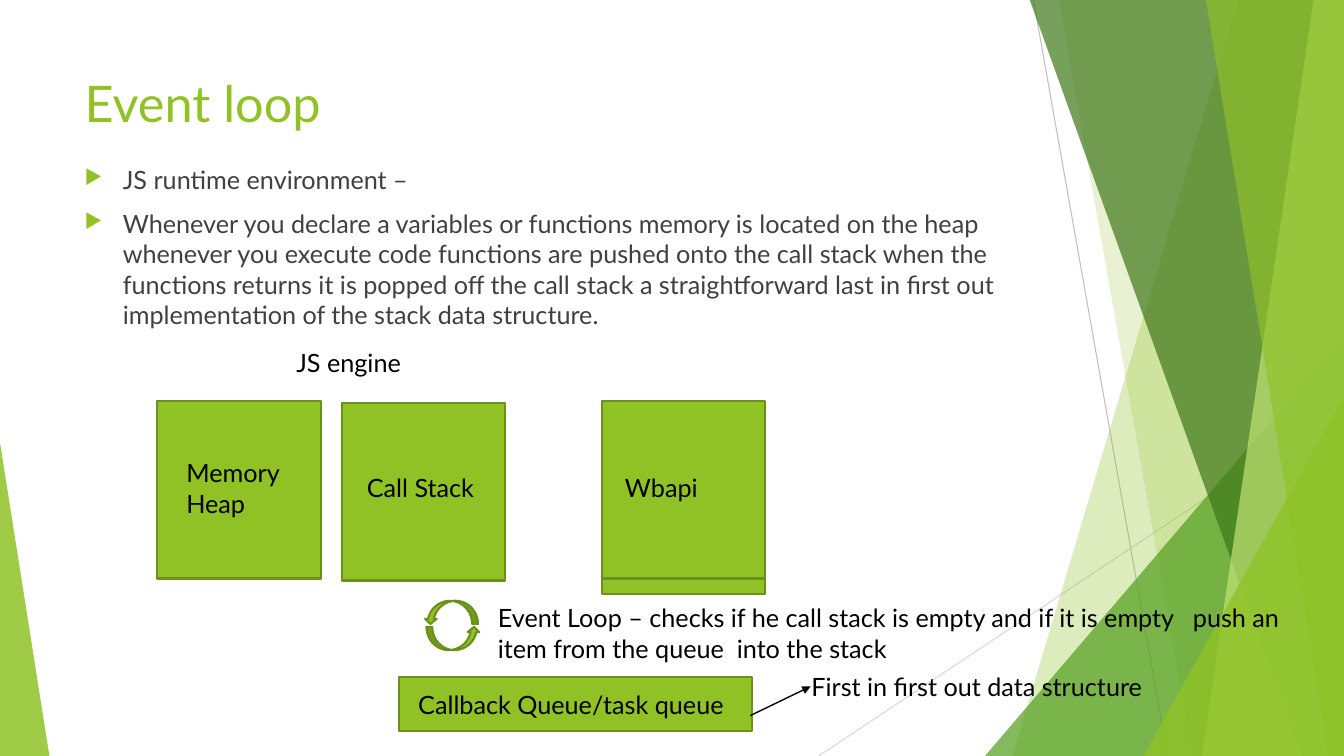
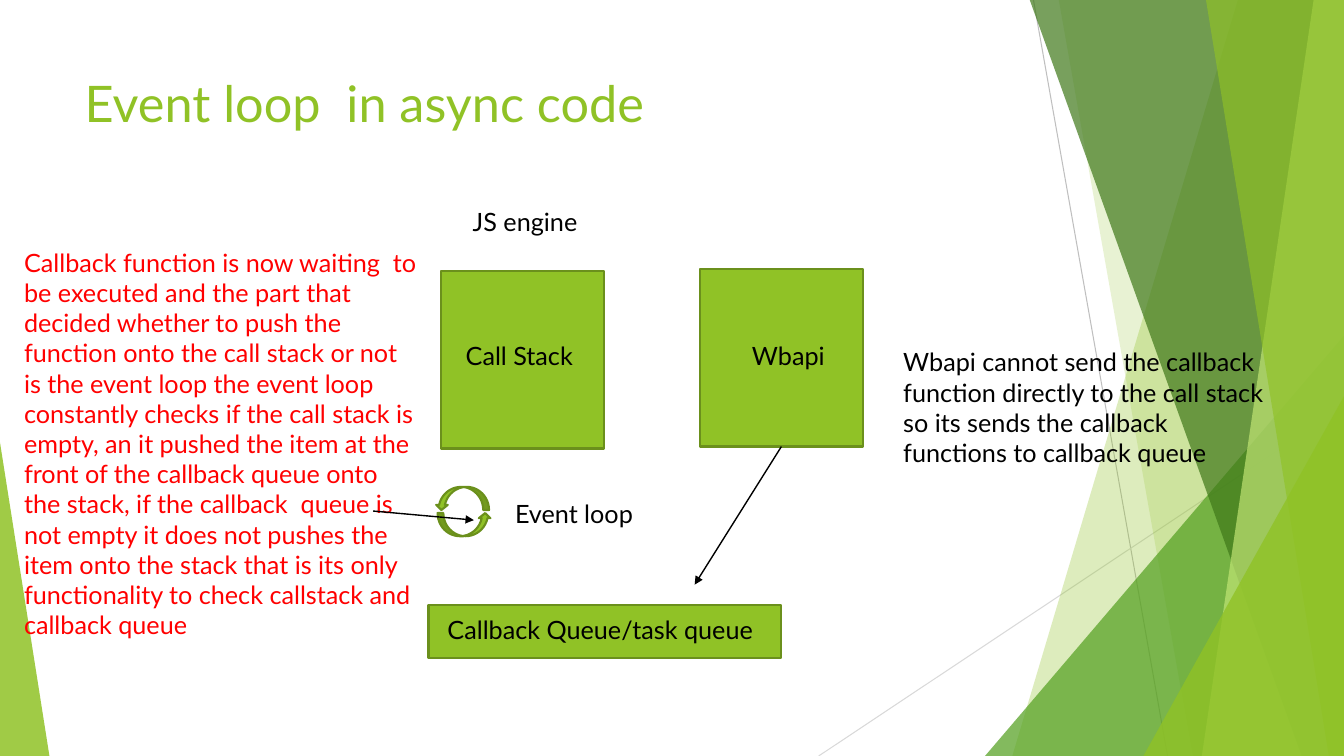
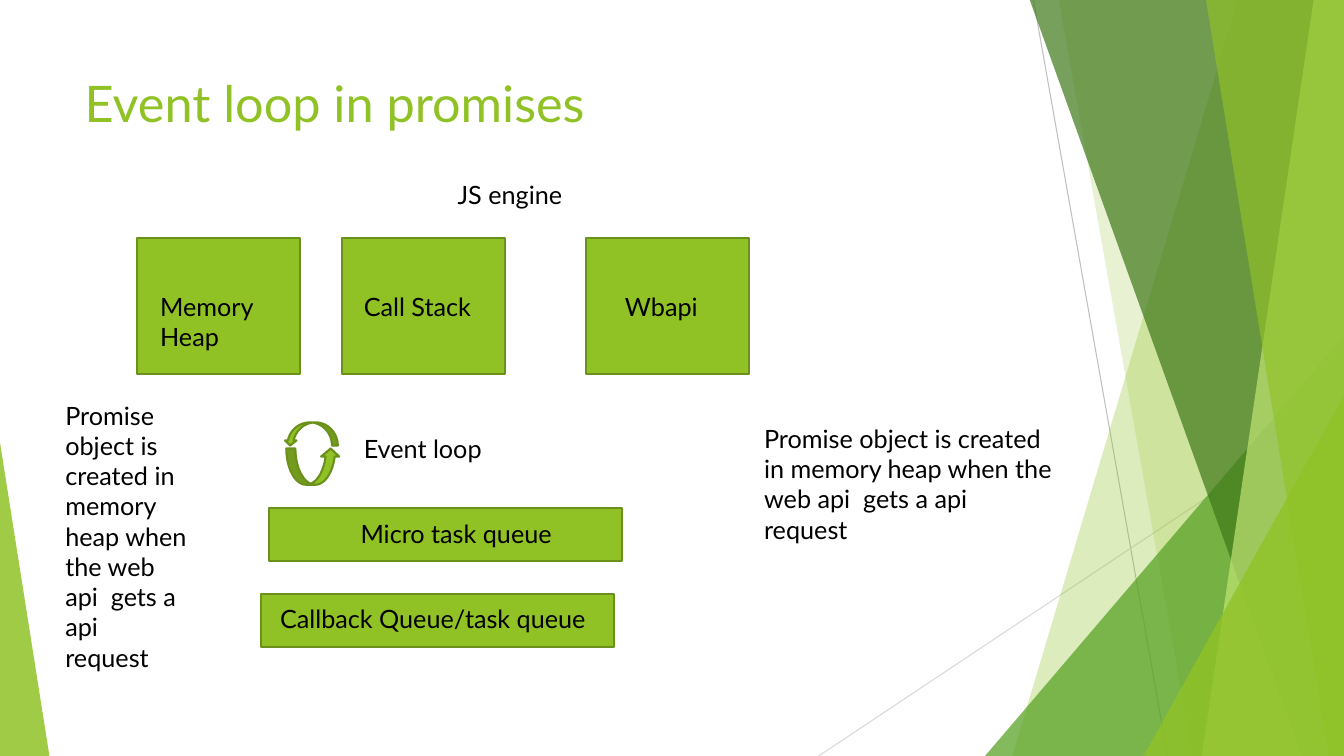
from dataclasses import dataclass

from lxml import etree
from pptx import Presentation
from pptx.dml.color import RGBColor
from pptx.enum.shapes import MSO_CONNECTOR, MSO_SHAPE
from pptx.enum.text import MSO_ANCHOR, MSO_AUTO_SIZE, PP_ALIGN
from pptx.oxml.ns import qn
from pptx.util import Inches, Pt

RECT = MSO_SHAPE.RECTANGLE
TRIANGLE = MSO_SHAPE.ISOSCELES_TRIANGLE
CURVED = MSO_SHAPE.CURVED_UP_ARROW
STRAIGHT = MSO_CONNECTOR.STRAIGHT
TOP = MSO_ANCHOR.TOP
LEFT, CENTER = PP_ALIGN.LEFT, PP_ALIGN.CENTER
FIT, FIXED = MSO_AUTO_SIZE.SHAPE_TO_FIT_TEXT, MSO_AUTO_SIZE.NONE
TITLE_ONLY = 5
BOTTOM_SIDE = 2


@dataclass(frozen=True)
class Theme:
    font: str = "Lato"
    title_size: int = 36
    text_size: int = 18
    lime: str = "90C226"
    edge: str = "6B901C"
    green: str = "54A021"
    forest: str = "3F7819"
    pale: str = "C0E474"
    gray: str = "BFBFBF"
    silver: str = "D9D9D9"
    black: str = "000000"
    body: str = "404040"
    red: str = "FF0000"


THEME = Theme()
WIDTH, HEIGHT = 13.33, 7.5
SIDE = 1.62
QUEUE = (3.5, 0.53)
LABEL, QUEUE_LABEL = 1.38, 3.53


def rgb(code):
    return RGBColor.from_string(code)


class Deck:
    def __init__(self):
        self.prs = Presentation()
        self.prs.slide_width = Inches(WIDTH)
        self.prs.slide_height = Inches(HEIGHT)
        self.layout = self.prs.slide_layouts[TITLE_ONLY]
        self.slide = None

    def start(self, title):
        """Add a slide with its title; the first one also sets up the backdrop."""
        first = self.slide is None
        self.slide = self.prs.slides.add_slide(self.layout)
        if first:
            self.backdrop()
        head = self.slide.shapes.title
        head.left, head.top = Inches(0.74), Inches(0.67)
        head.width, head.height = Inches(9.4), Inches(1.44)
        self.style(head.text_frame, [title], THEME.lime, THEME.title_size)

    def style(self, frame, lines, color, size=THEME.text_size, align=LEFT):
        """Fill the frame with one paragraph a line and format it."""
        frame.text = "\n".join(lines)
        frame.word_wrap = True
        frame.auto_size = FIXED
        frame.vertical_anchor = TOP
        for para in frame.paragraphs:
            para.alignment = align
            for run in para.runs:
                run.font.name = THEME.font
                run.font.size = Pt(size)
                run.font.color.rgb = rgb(color)

    def text(self, x, y, w, h, words, color=THEME.black, align=LEFT):
        box = self.slide.shapes.add_textbox(Inches(x), Inches(y), Inches(w), Inches(h))
        self.style(box.text_frame, [words], color, align=align)
        box.text_frame.auto_size = FIT

    def bullets(self, x, y, w, h, lines):
        box = self.slide.shapes.add_textbox(Inches(x), Inches(y), Inches(w), Inches(h))
        self.style(box.text_frame, lines, THEME.body)
        for para in box.text_frame.paragraphs:
            para.space_before = Pt(10)
            props = para._p.get_or_add_pPr()
            props.set("marL", str(Inches(0.38)))
            props.set("indent", str(Inches(-0.38)))
            tint = etree.SubElement(props, qn("a:buClr"))
            etree.SubElement(tint, qn("a:srgbClr"), val=THEME.lime)
            etree.SubElement(props, qn("a:buSzPct"), val="80000")
            etree.SubElement(props, qn("a:buChar"), char="▶")

    def shape(self, kind, x, y, w, h):
        item = self.slide.shapes.add_shape(kind, Inches(x), Inches(y), Inches(w), Inches(h))
        item.shadow.inherit = False
        item.fill.solid()
        item.fill.fore_color.rgb = rgb(THEME.lime)
        item.line.color.rgb = rgb(THEME.edge)
        item.line.width = Pt(1.5)
        return item

    def box(self, x, y, h=1.76):
        return self.shape(RECT, x, y, SIDE, h)

    def queue(self, x, y, words="Callback Queue/task queue", align=LEFT, drop=0.05):
        self.shape(RECT, x, y, *QUEUE)
        self.text(x + 0.09, y + drop, QUEUE_LABEL, 0.4, words, align=align)

    def loop(self, x, y, low=0.23):
        """Draw two curved arrows that chase each other; low is the lower one's height."""
        lower = self.shape(CURVED, x + 0.02, y + 0.26, 0.53, low)
        upper = self.shape(CURVED, x, y, 0.53, 0.23)
        upper.rotation = 180
        for arrow in (lower, upper):
            arrow.adjustments[2] = 0.222

    def line(self, shapes, start, end, color, width):
        ends = [Inches(v) for v in (*start, *end)]
        item = shapes.add_connector(STRAIGHT, *ends)
        item.line.color.rgb = rgb(color)
        item.line.width = Pt(width)
        etree.SubElement(item.element.spPr, qn("a:effectLst"))
        return item

    def arrow(self, start, end):
        item = self.line(self.slide.shapes, start, end, THEME.black, 1)
        outline = item.element.spPr.find(qn("a:ln"))
        etree.SubElement(outline, qn("a:tailEnd"), type="triangle")
        return item

    def glaze(self, item, color, alpha):
        """Give a borderless fill of the given opacity in percent."""
        item.shadow.inherit = False
        item.fill.solid()
        item.fill.fore_color.rgb = rgb(color)
        item.line.fill.background()
        tint = item.element.spPr.find(qn("a:solidFill"))[0]
        etree.SubElement(tint, qn("a:alpha"), val=str(alpha * 1000))

    def backdrop(self):
        """Draw the facets once and move them to the shared layout."""
        group = self.slide.shapes.add_group_shape()
        shapes = group.shapes

        def panel(top, foot, color, alpha):
            """Fill from a slanted left edge to the right side of the slide."""
            high, low, right = Inches(-0.01), Inches(HEIGHT), Inches(WIDTH)
            pen = shapes.build_freeform(Inches(top), high)
            pen.add_line_segments([(right, high), (right, low), (Inches(foot), low)])
            self.glaze(pen.convert_to_shape(), color, alpha)

        def wedge(x, w, h, peak, color, alpha):
            """Stand a triangle on the slide's lower edge."""
            item = shapes.add_shape(TRIANGLE, Inches(x), Inches(HEIGHT - h), Inches(w), Inches(h))
            item.adjustments[0] = peak
            self.glaze(item, color, alpha)

        self.line(shapes, (10.25, 0), (11.58, HEIGHT), THEME.gray, 0.75)
        self.line(shapes, (WIDTH, 4.03), (8.12, HEIGHT), THEME.silver, 0.75)
        panel(12.28, 10.04, THEME.lime, 30)
        panel(10.5, 11.83, THEME.lime, 20)
        wedge(9.77, 3.56, 4.17, 1, THEME.green, 72)
        panel(10.21, 12.91, THEME.forest, 70)
        panel(13.03, 11.92, THEME.pale, 70)
        panel(11.96, 13.18, THEME.lime, 65)
        wedge(11.34, 1.99, 3.57, 1, THEME.lime, 80)
        wedge(0, 0.49, 3.11, 0, THEME.lime, 85)
        for props in group.element.iter(qn("p:cNvPr")):
            props.set("id", str(int(props.get("id")) + 100))
        self.layout.shapes.element.append(group.element)


def basics(deck):
    deck.start("Event loop")
    deck.bullets(0.74, 1.58, 9.4, 5.03, [
        "JS runtime environment –",
        "Whenever you declare a variables or functions memory is located on the heap "
        "whenever you execute code functions are pushed onto the call stack when the "
        "functions returns it is popped off the call stack a straightforward last in "
        "first out implementation of the stack data structure.",
    ])
    for x, y in ((1.56, 3.98), (3.39, 4), (5.97, 4.13), (5.97, 3.98)):
        deck.box(x, y)
    deck.text(2.84, 3.4, LABEL, 0.4, "JS engine")
    deck.text(1.75, 4.49, LABEL, 0.71, "Memory Heap")
    deck.text(3.54, 4.64, LABEL, 0.4, "Call Stack")
    deck.text(6.1, 4.64, LABEL, 0.4, "Wbapi")
    deck.queue(3.96, 6.72, drop=0.07)
    deck.text(7.95, 6.61, 4.39, 0.4, "First in first out data structure")
    deck.arrow((7.44, 7.1), (8.04, 6.81))
    deck.loop(4.21, 5.96)
    deck.text(4.84, 5.93, 8.21, 0.71,
              "Event Loop – checks if he call stack is empty and if it is empty   push an "
              "item from the queue  into the stack")


def tasks(deck):
    deck.start("Event loop  in async code")
    deck.box(4.37, 2.69)
    api = deck.box(6.94, 2.67)
    deck.text(4.59, 2, LABEL, 0.4, "JS engine")
    deck.text(4.52, 3.33, LABEL, 0.4, "Call Stack")
    deck.text(7.36, 3.33, 1.05, 0.4, "Wbapi")
    deck.queue(4.25, 6)
    deck.loop(4.32, 4.83)
    deck.text(5.01, 4.89, 1.4, 0.4, "Event loop")
    deck.arrow((7.75, 4.43), (6.89, 5.8)).begin_connect(api, BOTTOM_SIDE)
    deck.text(8.86, 3.39, 3.78, 1.31,
              "Wbapi cannot send the callback function directly to the call stack so its "
              "sends the callback functions to callback queue")
    deck.text(0.14, 2.4, 4.13, 4.34,
              "Callback function is now waiting  to be executed and the part that decided "
              "whether to push the function onto the call stack or not  is the event loop "
              "the event loop constantly checks if the call stack is empty, an it pushed "
              "the item at the front of the callback queue onto the stack, if the callback  "
              "queue is not empty it does not pushes the item onto the stack that is its "
              "only functionality to check callstack and callback queue", THEME.red)
    deck.arrow((3.7, 5.07), (4.7, 5.16))


def promises(deck):
    deck.start("Event loop in promises")
    for x in (1.36, 3.39, 5.81):
        deck.box(x, 2.36, 1.35)
    deck.text(4.44, 1.73, LABEL, 0.4, "JS engine")
    deck.text(1.49, 2.84, LABEL, 0.71, "Memory Heap")
    deck.text(3.51, 2.84, LABEL, 0.4, "Call Stack")
    deck.text(6.1, 2.84, LABEL, 0.4, "Wbapi")
    deck.loop(2.82, 4.19, 0.36)
    deck.text(3.51, 4.25, 1.4, 0.4, "Event loop")
    deck.queue(2.67, 5.04, "Micro task queue", CENTER)
    deck.queue(2.59, 5.89)
    note = "Promise object is created in memory heap when the web api  gets a api request"
    for place in ((0.55, 3.92, 1.4, 2.83), (7.48, 4.15, 3.08, 1.31)):
        deck.text(*place, note)


def main():
    deck = Deck()
    for build in (basics, tasks, promises):
        build(deck)
    deck.prs.save("out.pptx")


if __name__ == "__main__":
    main()
